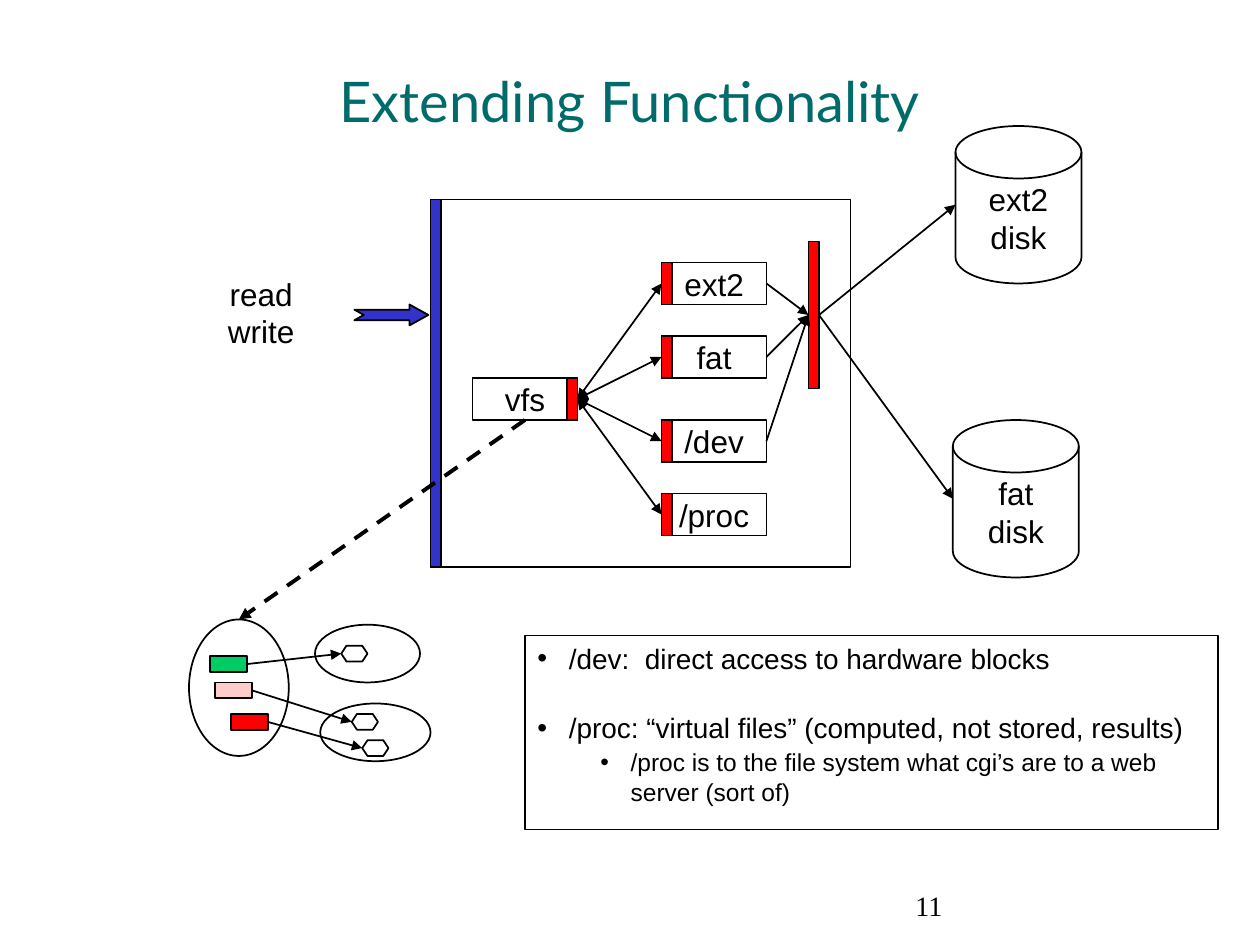
"""Build the slide on extending a file system's functionality."""
from lxml import etree
from pptx import Presentation
from pptx.dml.color import RGBColor
from pptx.enum.dml import MSO_LINE
from pptx.enum.shapes import MSO_CONNECTOR, MSO_SHAPE
from pptx.enum.text import MSO_ANCHOR, MSO_AUTO_SIZE, PP_ALIGN
from pptx.oxml.ns import qn
from pptx.util import Inches, Pt

RECTANGLE = MSO_SHAPE.RECTANGLE
OVAL = MSO_SHAPE.OVAL
DISK = MSO_SHAPE.FLOWCHART_MAGNETIC_DISK
HEXAGON = MSO_SHAPE.FLOWCHART_PREPARATION
STRAIGHT = MSO_CONNECTOR.STRAIGHT
DASH = MSO_LINE.DASH
MIDDLE = MSO_ANCHOR.MIDDLE
TOP_ANCHOR = MSO_ANCHOR.TOP
CENTER = PP_ALIGN.CENTER
LEFT_ALIGN = PP_ALIGN.LEFT
NO_FIT = MSO_AUTO_SIZE.NONE
TOP, LEFT, BOTTOM, RIGHT = range(4)

COLORS = {name: RGBColor.from_string(value) for name, value in {
    "title": "006B6B", "black": "000000", "white": "FFFFFF", "blue": "3333CC",
    "red": "FF0000", "green": "00CC66", "pink": "FFCCCC"}.items()}

deck = Presentation()
deck.slide_width, deck.slide_height = Inches(10), Inches(7.5)
CELL = deck.slide_width // 120
page = deck.slides.add_slide(deck.slide_layouts[5])
shapes = page.shapes


def add_box(parent, kind, cells, fill=None):
    box = parent.add_shape(kind, *[round(cell * CELL) for cell in cells])
    box.shadow.inherit = False
    if fill:
        box.fill.solid()
        box.fill.fore_color.rgb = COLORS[fill]
    else:
        box.fill.background()
    box.line.color.rgb = COLORS["black"]
    box.line.width = Pt(1)
    return box


def link(parent, start, start_side, finish, finish_side, ends=("tailEnd",)):
    arrow = parent.add_connector(STRAIGHT, start.left, start.top, start.left, start.top)
    arrow.begin_connect(start, start_side)
    if finish.auto_shape_type == DISK:
        arrow.end_x, arrow.end_y = finish.left, finish.top + finish.height // 2
    else:
        arrow.end_connect(finish, finish_side)
    arrow.line.color.rgb = COLORS["black"]
    arrow.line.width = Pt(1)
    properties = arrow._element.spPr
    for end in ends:
        etree.SubElement(properties.find(qn("a:ln")), qn(f"a:{end}"), type="triangle")
    etree.SubElement(properties, qn("a:effectLst"))
    return arrow


title = shapes.title
title.left, title.top, title.width, title.height = [cell * CELL for cell in (9, 5, 102, 9)]
title.text_frame.auto_size = NO_FIT
title.text_frame.vertical_anchor = MIDDLE
para = title.text_frame.paragraphs[0]
para.alignment = CENTER
span = para.add_run()
span.text = "Extending Functionality"
span.font.size, span.font.name = Pt(32), "Lato"
span.font.color.rgb = COLORS["title"]

add_box(shapes, RECTANGLE, (41, 19, 40, 35))
add_box(shapes, RECTANGLE, (41, 19, 1, 35), "blue")

outline = [(33.75, 29.5), (39, 29.5), (39, 29), (40.8, 30),
           (39, 31), (39, 30.5), (33.75, 30.5), (34.65, 30)]
points = [(round(x * CELL), round(y * CELL)) for x, y in outline]
builder = shapes.build_freeform(*points[0])
builder.add_line_segments(points[1:], close=True)
call_arrow = builder.convert_to_shape()
call_arrow.shadow.inherit = False
call_arrow.fill.solid()
call_arrow.fill.fore_color.rgb = COLORS["blue"]
call_arrow.line.color.rgb = COLORS["black"]
call_arrow.line.width = Pt(1)

calls = shapes.add_textbox(*[round(cell * CELL) for cell in (20.5, 25.5, 8.75, 8.5)])
vfs = add_box(shapes, RECTANGLE, (45, 36, 10, 4), "white")
add_box(shapes, RECTANGLE, (54, 36, 1, 4), "red")
device_bar = add_box(shapes, RECTANGLE, (77, 23, 1, 14), "red")
labels = [(calls, "read\nwrite"), (vfs, "vfs")]

for name, row in (("ext2", 25), ("fat", 32), ("/dev", 40), ("/proc", 47)):
    module = add_box(shapes, RECTANGLE, (63, row, 10, 4), "white")
    add_box(shapes, RECTANGLE, (63, row, 1, 4), "red")
    labels.append((module, name))
    link(shapes, vfs, RIGHT, module, LEFT, ("headEnd", "tailEnd"))
    if name != "/proc":
        link(shapes, module, RIGHT, device_bar, LEFT)

for name, column, row in (("ext2\ndisk", 91, 12), ("fat\ndisk", 90.75, 40)):
    disk = add_box(shapes, DISK, (column, row, 12, 15), "white")
    labels.append((disk, name))
    link(shapes, device_bar, RIGHT, disk, LEFT)

for box, text in labels:
    frame = box.text_frame
    frame.word_wrap = False
    frame.vertical_anchor = MIDDLE
    para = frame.paragraphs[0]
    para.alignment = CENTER
    for index, line in enumerate(text.split("\n")):
        if index:
            para.add_line_break()
        span = para.add_run()
        span.text = line
        span.font.size, span.font.name = Pt(18), "Arial"
        span.font.color.rgb = COLORS["black"]

table_group = shapes.add_group_shape().shapes
table = add_box(table_group, OVAL, (18, 59, 9.5, 13))
add_box(table_group, OVAL, (30, 59.5, 10, 5.5), "white")
add_box(table_group, OVAL, (30.5, 67, 10.5, 5.5), "white")
for fill, entry_cell, target_cell in (
        ("green", (20, 62.5), (32.5, 61.5)),
        ("pink", (20.5, 65), (33.5, 68)),
        ("red", (22, 68), (34.5, 70.5))):
    entry = add_box(table_group, RECTANGLE, (*entry_cell, 3.5, 1.5), fill)
    target = add_box(table_group, HEXAGON, (*target_cell, 2.5, 1.5), "white")
    link(table_group, entry, RIGHT, target, LEFT)

detail = link(shapes, vfs, BOTTOM, table, TOP)
detail.line.width = Pt(2.25)
detail.line.dash_style = DASH

notes_box = add_box(shapes, RECTANGLE, (50, 60.5, 66, 18.5))
notes_box.line.width = Pt(0.75)
frame = notes_box.text_frame
frame.word_wrap = True
frame.vertical_anchor = TOP_ANCHOR
bullets = [
    ("/dev:  direct access to hardware blocks", 0, 16, 0, 0.25, 0.25),
    ("/proc: “virtual files” (computed, not stored, results)", 0, 16, 20.4, 0.25, 0.25),
    ("/proc is to the file system what cgi’s are to a web server (sort of)",
     1, 14, 1.7, 0.74, 0.24)]
for index, (text, level, size, before, margin, hanging) in enumerate(bullets):
    para = frame.add_paragraph() if index else frame.paragraphs[0]
    para.alignment = LEFT_ALIGN
    para.level = level
    para.space_before = Pt(before)
    properties = para._p.get_or_add_pPr()
    properties.set("marL", str(Inches(margin)))
    properties.set("indent", str(-Inches(hanging)))
    bullet_color = etree.SubElement(properties, qn("a:buClr"))
    etree.SubElement(bullet_color, qn("a:srgbClr"), val=str(COLORS["black"]))
    etree.SubElement(properties, qn("a:buFont"), typeface="Arial")
    etree.SubElement(properties, qn("a:buChar"), char="•")
    span = para.add_run()
    span.text = text
    span.font.size, span.font.name = Pt(size), "Arial"
    span.font.color.rgb = COLORS["black"]

number_box = shapes.add_textbox(*[cell * CELL for cell in (86, 84, 25, 6)])
number_box.text_frame.word_wrap = True
span = number_box.text_frame.paragraphs[0].add_run()
span.text = "11"
span.font.size, span.font.name = Pt(16), "Times New Roman"
span.font.color.rgb = COLORS["black"]

deck.save("out.pptx")
